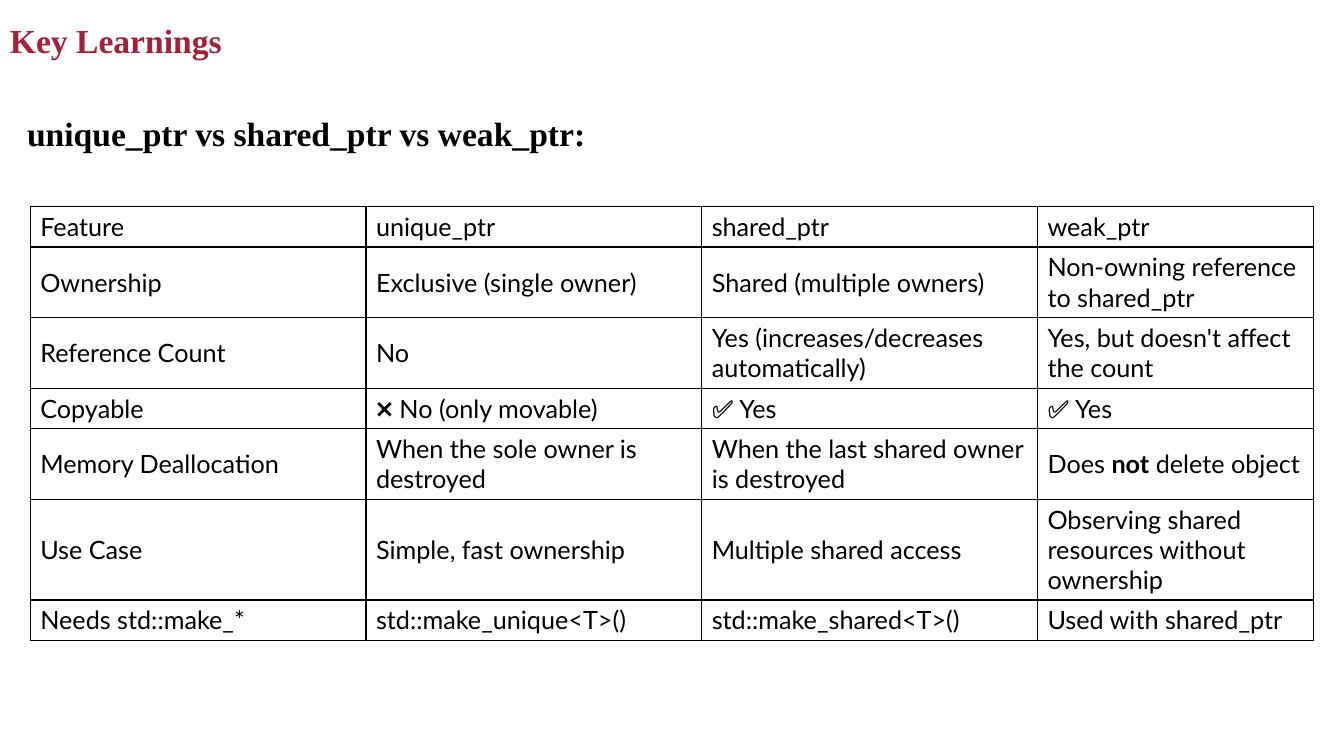
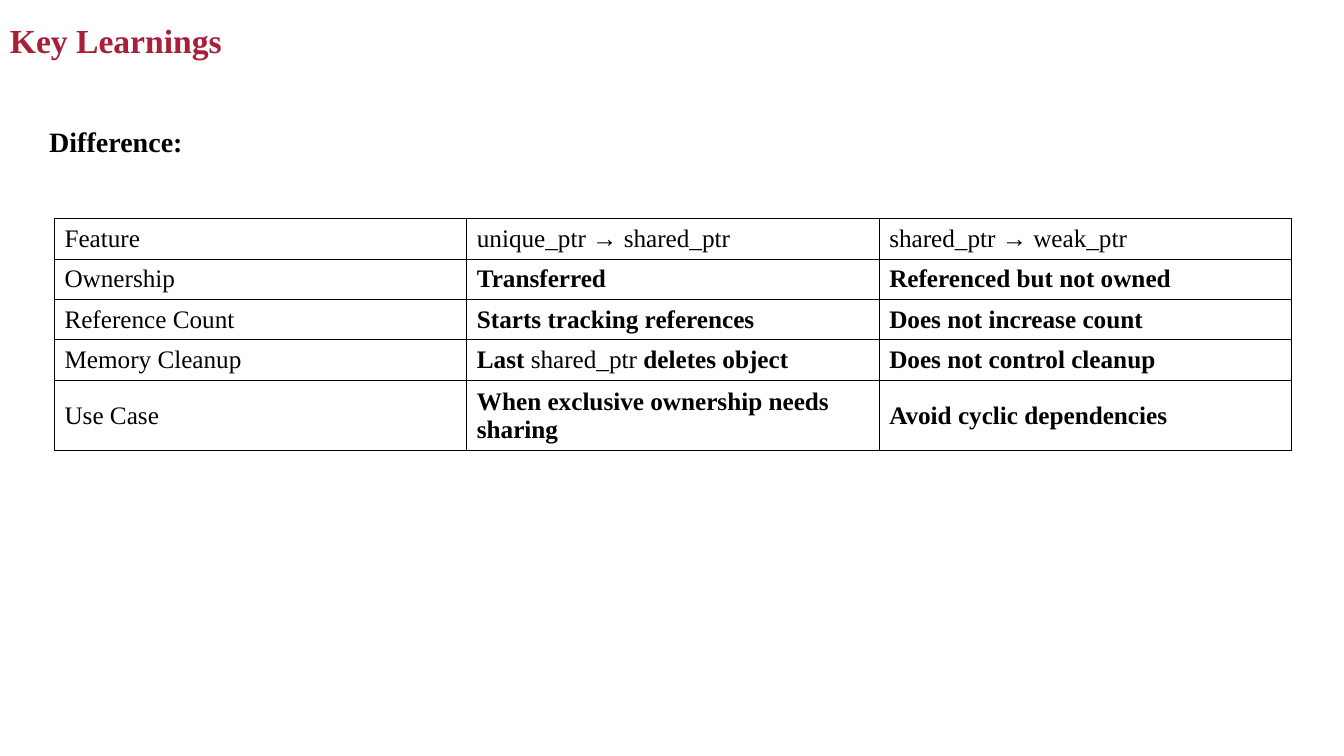
from lxml.etree import SubElement
from pptx import Presentation
from pptx.dml.color import RGBColor
from pptx.enum.text import MSO_ANCHOR
from pptx.oxml.ns import qn
from pptx.util import Inches, Pt

CRIMSON = RGBColor(0xA7, 0x1F, 0x38)
BLACK = RGBColor(0x00, 0x00, 0x00)
SERIF = "Times New Roman"
SANS = "Lato"


class Deck:
    """Holds the shared style and the current slide."""

    title_format = {"name": SERIF, "size": Pt(24), "bold": True}
    cell_format = {"size": Pt(18)}
    line_height = 0.3
    cell_padding = 0.1
    border_width = Pt(1)

    def __init__(self):
        self.presentation = Presentation()
        self.presentation.slide_width = Inches(13.33)
        self.presentation.slide_height = Inches(7.5)
        self.slide = None

    def add_slide(self, title):
        blank = self.presentation.slide_layouts[6]
        self.slide = self.presentation.slides.add_slide(blank)
        heading = self.text(title, 0, 0.16, 6.77, 0.53, CRIMSON)
        heading.vertical_anchor = MSO_ANCHOR.MIDDLE
        heading.paragraphs[0].line_spacing = 0.9

    def add_run(self, paragraph, text, color, formats):
        run = paragraph.add_run()
        run.text = text
        for key, value in formats.items():
            setattr(run.font, key, value)
        run.font.color.rgb = color

    def text(self, text, left, top, width, height, color=BLACK, **formats):
        box = self.slide.shapes.add_textbox(
            Inches(left), Inches(top), Inches(width), Inches(height))
        frame = box.text_frame
        frame.word_wrap = True
        self.add_run(frame.paragraphs[0], text, color,
                     {**self.title_format, **formats})
        return frame

    def table(self, rows, left, top, widths, line_counts, font):
        """Draw a grid; words between ** marks are bold."""
        heights = [count * self.line_height + self.cell_padding
                   for count in line_counts]
        grid = self.slide.shapes.add_table(
            len(rows), len(widths), Inches(left), Inches(top),
            Inches(sum(widths)), Inches(sum(heights))).table
        grid.first_row = grid.horz_banding = False
        for column, width in zip(grid.columns, widths):
            column.width = Inches(width)
        for row, height, texts in zip(grid.rows, heights, rows):
            row.height = Inches(height)
            for cell, text in zip(row.cells, texts):
                self.fill_cell(cell, text, font)

    def fill_cell(self, cell, text, font):
        cell.vertical_anchor = MSO_ANCHOR.MIDDLE
        paragraph = cell.text_frame.paragraphs[0]
        for index, part in enumerate(text.split("**")):
            if part:
                self.add_run(paragraph, part, BLACK, {
                    **self.cell_format, "name": font, "bold": index % 2 == 1})
        properties = cell._tc.get_or_add_tcPr()
        for side in ("a:lnL", "a:lnR", "a:lnT", "a:lnB"):
            line = SubElement(properties, qn(side), w=str(self.border_width))
            fill = SubElement(line, qn("a:solidFill"))
            SubElement(fill, qn("a:srgbClr"), val=str(BLACK))
        cell.fill.background()


POINTER_ROWS = [
    ("Feature", "unique_ptr", "shared_ptr", "weak_ptr"),
    ("Ownership", "Exclusive (single owner)", "Shared (multiple owners)",
     "Non-owning reference to shared_ptr"),
    ("Reference Count", "No", "Yes (increases/decreases automatically)",
     "Yes, but doesn't affect the count"),
    ("Copyable", "❌ No (only movable)", "✅ Yes", "✅ Yes"),
    ("Memory Deallocation", "When the sole owner is destroyed",
     "When the last shared owner is destroyed",
     "Does **not** delete object"),
    ("Use Case", "Simple, fast ownership", "Multiple shared access",
     "Observing shared resources without ownership"),
    ("Needs std::make_*", "std::make_unique<T>()", "std::make_shared<T>()",
     "Used with shared_ptr"),
]

CONVERSION_ROWS = [
    ("Feature", "unique_ptr → shared_ptr", "shared_ptr → weak_ptr"),
    ("Ownership", "**Transferred**", "**Referenced but not owned**"),
    ("Reference Count", "**Starts tracking references**",
     "**Does not increase count**"),
    ("Memory Cleanup", "**Last **shared_ptr** deletes object**",
     "**Does not control cleanup**"),
    ("Use Case", "**When exclusive ownership needs sharing**",
     "**Avoid cyclic dependencies**"),
]


def main():
    deck = Deck()

    # Comparison of the three smart pointers
    deck.add_slide("Key Learnings")
    deck.text("unique_ptr vs shared_ptr vs weak_ptr:", 0.17, 1.07, 12.67, 0.5)
    deck.table(POINTER_ROWS, 0.3, 2.05, [3.33] * 3 + [2.74],
               [1, 2, 2, 1, 2, 3, 1], SANS)

    # Differences when converting between pointers
    deck.add_slide("Key Learnings")
    deck.text("Difference:", 0.39, 1.19, 8.56, 0.77, size=Pt(20))
    deck.table(CONVERSION_ROWS, 0.54, 2.17, [4.09] * 3,
               [1, 1, 1, 1, 2], SERIF)

    deck.presentation.save("out.pptx")


if __name__ == "__main__":
    main()
